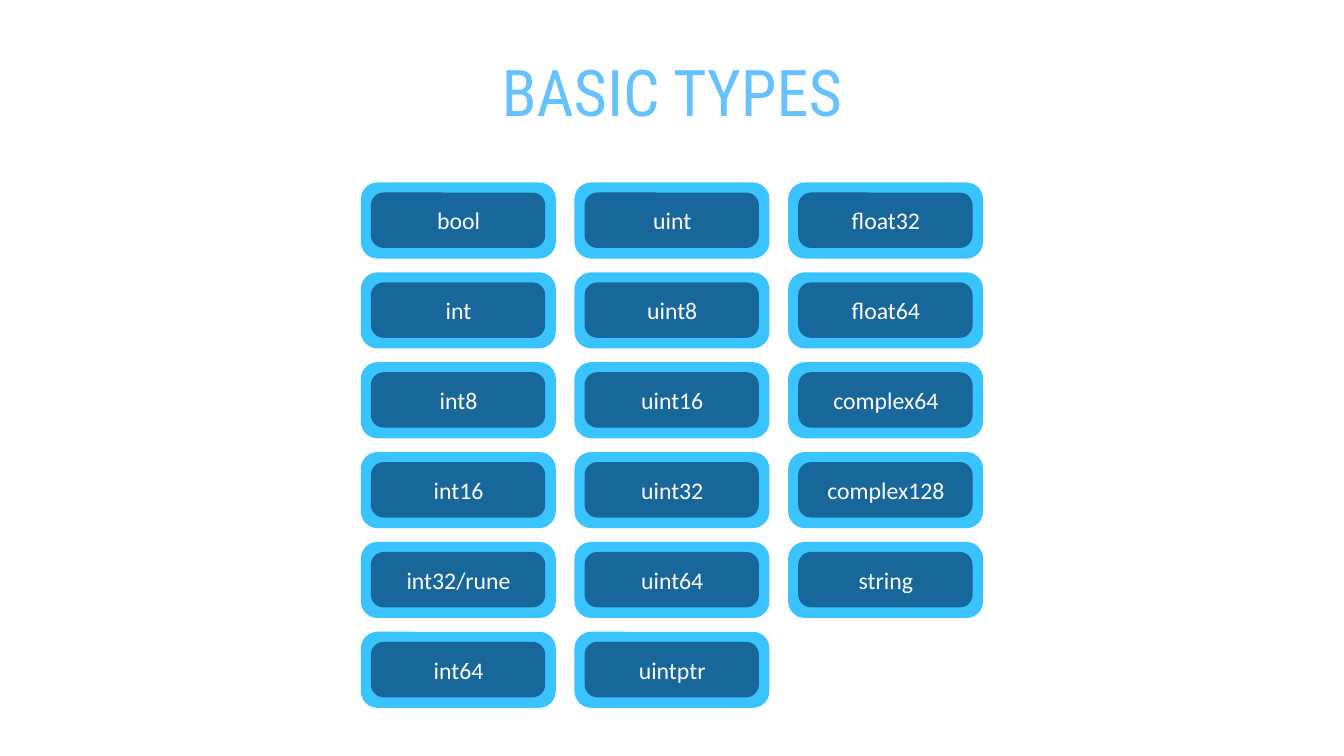
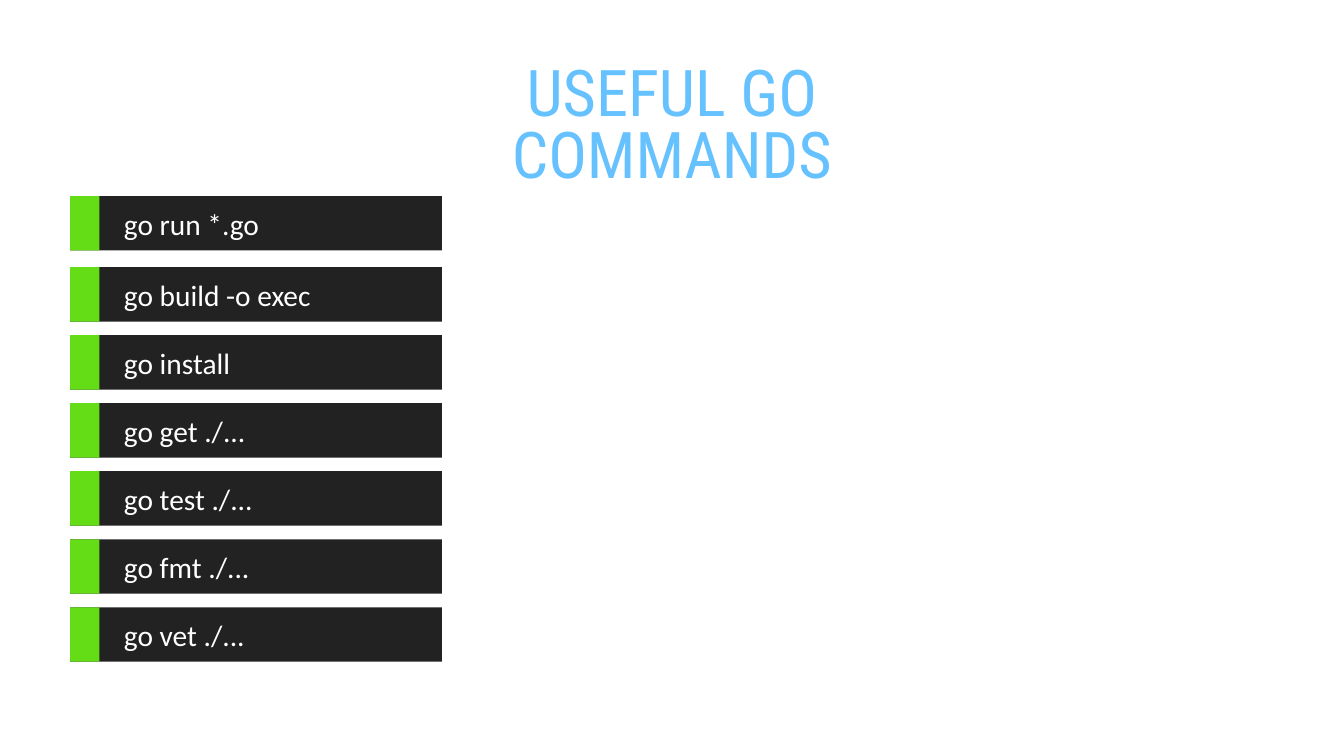
from pptx import Presentation
from pptx import util as u
from pptx.dml.color import RGBColor
from pptx.enum import shapes, text

COLOURS = {
    "title": "66C2FF",
    "frame": "39C4FF",
    "core": "18679A",
    "bar": "222222",
    "accent": "64DD17",
    "label": "FFFFFF",
}
TITLE_FONT = "Roboto Condensed"
BODY_FONT = "Calibri"
INSET = 0.08

TYPE_COLUMNS = [
    ["bool", "int", "int8", "int16", "int32/rune", "int64"],
    ["uint", "uint8", "uint16", "uint32", "uint64", "uintptr"],
    ["float32", "float64", "complex64", "complex128", "string"],
]
FIRST_COMMAND = "go run *.go"
OTHER_COMMANDS = ["go build -o exec", "go install", "go get ./...",
                  "go test ./...", "go fmt ./...", "go vet ./..."]


def write(shape, content, *, size, font=BODY_FONT, colour="label",
          align=text.PP_ALIGN.LEFT, anchor=text.MSO_ANCHOR.MIDDLE, spacing=1.0):
    frame = shape.text_frame
    frame.word_wrap = True
    frame.auto_size = text.MSO_AUTO_SIZE.NONE
    frame.vertical_anchor = anchor
    frame.margin_left = frame.margin_right = u.Inches(INSET)
    frame.margin_top = frame.margin_bottom = u.Inches(INSET)
    paragraph = frame.paragraphs[0]
    paragraph.alignment = align
    paragraph.line_spacing = spacing
    paragraph.space_before = u.Pt(0)
    run = paragraph.add_run()
    run.text = content
    run.font.name = font
    run.font.size = u.Pt(size)
    run.font.color.rgb = RGBColor.from_string(COLOURS[colour])


def add_block(parent, box, colour, kind=shapes.MSO_SHAPE.RECTANGLE, corner=None):
    shape = parent.shapes.add_shape(kind, *map(u.Inches, box))
    shape.shadow.inherit = False
    shape.fill.solid()
    shape.fill.fore_color.rgb = RGBColor.from_string(COLOURS[colour])
    shape.line.fill.background()
    if corner is not None:
        shape.adjustments[0] = corner


def add_label(parent, box, content, **style):
    write(parent.shapes.add_textbox(*map(u.Inches, box)), content, **style)


def add_titled_slide(presentation, title, title_width):
    """Add a slide whose title is centred across the slide."""
    slide = presentation.slides.add_slide(presentation.slide_layouts[5])
    shape = slide.shapes.title
    width = u.Inches(title_width)
    shape.left = (presentation.slide_width - width) // 2
    shape.top = u.Inches(1.25)
    shape.width, shape.height = width, u.Inches(1.44)
    write(shape, title, size=92, font=TITLE_FONT, colour="title", spacing=0.8,
          align=text.PP_ALIGN.CENTER, anchor=text.MSO_ANCHOR.TOP)
    return slide


def add_type_card(slide, left, top, name):
    group = slide.shapes.add_group_shape()
    rounded = shapes.MSO_SHAPE.ROUNDED_RECTANGLE
    add_block(group, (left, top, 3.87, 1.51), "frame", rounded, 0.22)
    add_block(group, (left + 0.2, top + 0.2, 3.46, 1.1), "core", rounded, 0.23)
    add_label(group, (left + 0.11, top + 0.35, 3.66, 0.8), name,
              size=34, align=text.PP_ALIGN.CENTER)


def add_command_bar(slide, left, top, command):
    group = slide.shapes.add_group_shape()
    add_block(group, (left, top, 7.38, 1.08), "bar")
    add_label(group, (left + 0.99, top + 0.07, 5.79, 0.95), command, size=42)
    add_block(group, (left, top, 0.58, 1.08), "accent")


def build_basic_types(presentation):
    slide = add_titled_slide(presentation, "BASIC TYPES", 9.41)
    for column, names in enumerate(TYPE_COLUMNS):
        for row, name in enumerate(names):
            add_type_card(slide, 7.16 + 4.24 * column, 3.62 + 1.783 * row, name)


def build_commands(presentation):
    slide = add_titled_slide(presentation, "USEFUL GO COMMANDS", 10.17)
    left = 1.39
    add_command_bar(slide, left, 3.89, FIRST_COMMAND)
    for row, command in enumerate(OTHER_COMMANDS):
        add_command_bar(slide, left, 5.3 + 1.35 * row, command)


def main():
    presentation = Presentation()
    presentation.slide_width = u.Inches(26.67)
    presentation.slide_height = u.Inches(15)
    build_basic_types(presentation)
    build_commands(presentation)
    presentation.save("out.pptx")


if __name__ == "__main__":
    main()
